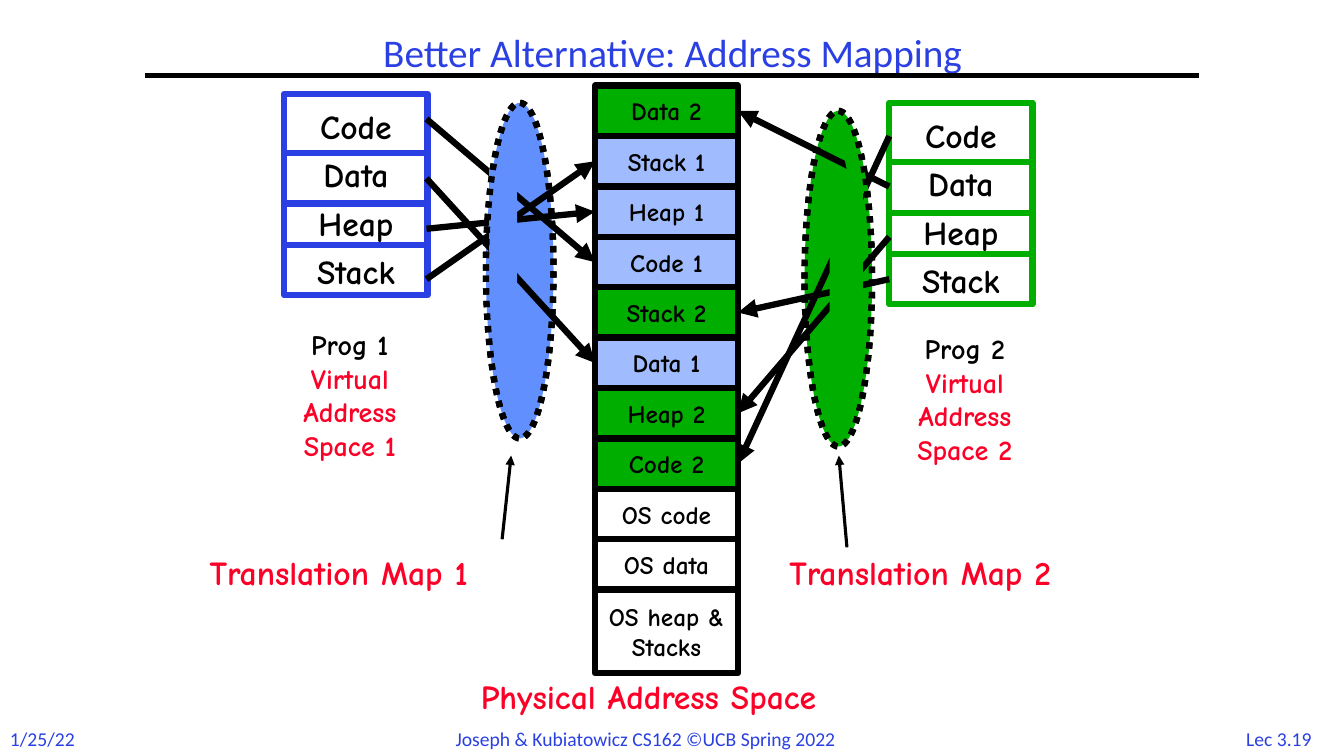
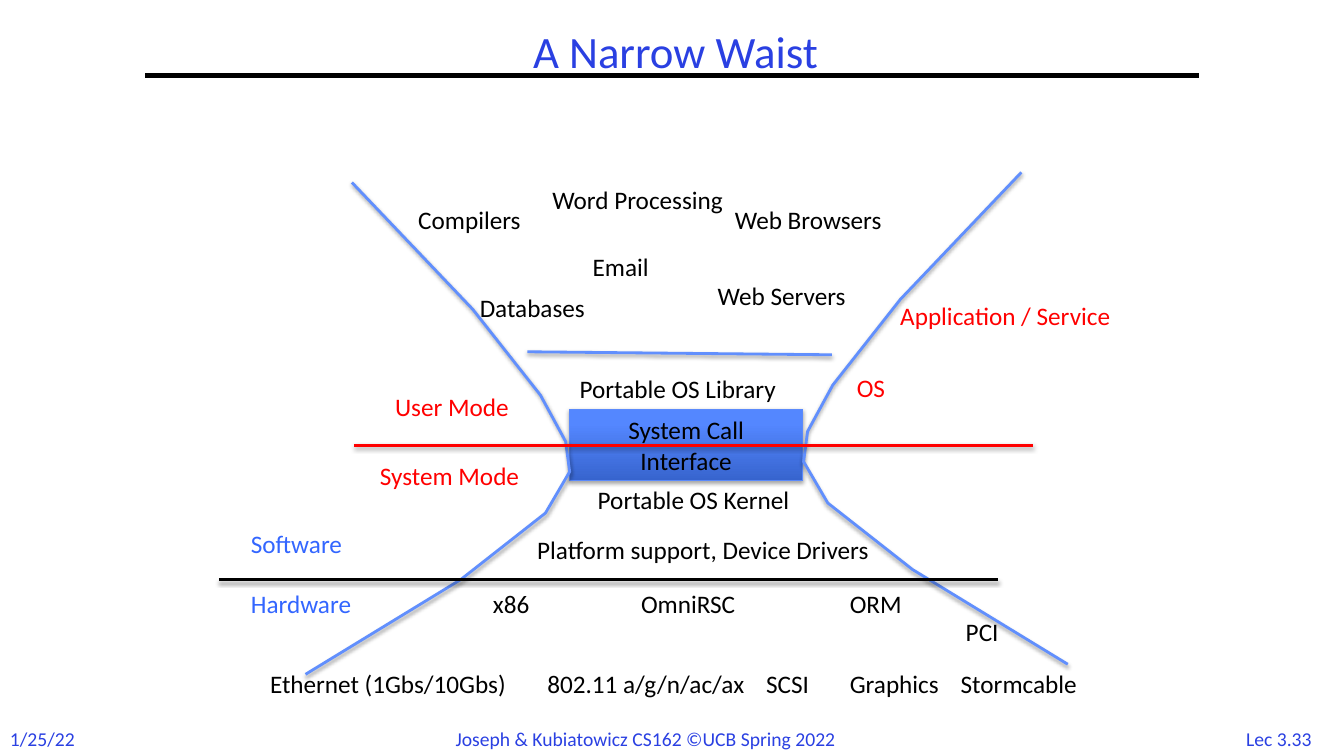
from lxml.etree import SubElement
from pptx import Presentation
from pptx.dml.color import RGBColor
from pptx.enum.dml import MSO_LINE
from pptx.enum.shapes import MSO_CONNECTOR, MSO_SHAPE
from pptx.enum.text import MSO_ANCHOR, MSO_AUTO_SIZE, PP_ALIGN
from pptx.oxml.ns import qn
from pptx.util import Inches, Pt

# Page grid: columns and rows of one inch
COLUMNS, ROWS = 13.33, 7.5
SLIDE_W, SLIDE_H = Inches(COLUMNS), Inches(ROWS)

BLACK = RGBColor(0x00, 0x00, 0x00)
WHITE = RGBColor(0xFF, 0xFF, 0xFF)
ROYAL = RGBColor(0x2A, 0x40, 0xE2)
SKY = RGBColor(0x61, 0x8F, 0xFD)
PALE = RGBColor(0xA0, 0xBC, 0xFE)
GREEN = RGBColor(0x00, 0xAE, 0x00)
CRIMSON = RGBColor(0xFC, 0x01, 0x28)
RED = RGBColor(0xFF, 0x00, 0x00)
AZURE = RGBColor(0x33, 0x66, 0xFF)
WAIST_DARK = RGBColor(0x37, 0x64, 0xCE)
WAIST_LIGHT = RGBColor(0x54, 0x87, 0xFF)
WAIST_EDGE = RGBColor(0x5B, 0x8A, 0xFB)

SANS, COMIC = "Calibri", "Comic Neue"
HEAVY = 4.5  # line width of the address mapping diagram
CELL_W, CELL_H = 1.42, 0.5


def col(columns):
    return round(SLIDE_W * columns / COLUMNS)


def row(rows):
    return round(SLIDE_H * rows / ROWS)


def area(left, top, width, height):
    return col(left), row(top), col(width), row(height)


def set_effects(drawn, alpha=0):
    """Replace the theme shadow by a soft one, or by none."""
    effects = SubElement(drawn._element.spPr, qn("a:effectLst"))
    if alpha:
        shadow = SubElement(effects, qn("a:outerShdw"), blurRad=str(Pt(3.1)),
                            dist=str(Pt(1.6)), dir="5400000", rotWithShape="0")
        black = SubElement(shadow, qn("a:srgbClr"), val="000000")
        SubElement(black, qn("a:alpha"), val=str(alpha * 1000))


def write(frame, lines, font, size, color, bold=None, align=PP_ALIGN.LEFT, spacing=None):
    frame.text = "\n".join(lines)
    for paragraph in frame.paragraphs:
        paragraph.alignment = align
        paragraph.line_spacing = spacing
        paragraph.font.name = font
        paragraph.font.size = Pt(size)
        paragraph.font.color.rgb = color
        paragraph.font.bold = bold


def add_text(slide, lines, place, font, size, color, bold=None, align=PP_ALIGN.LEFT):
    frame = slide.shapes.add_textbox(*area(*place)).text_frame
    frame.word_wrap = False
    frame.auto_size = MSO_AUTO_SIZE.SHAPE_TO_FIT_TEXT
    write(frame, lines, font, size, color, bold, align)
    return frame


def add_block(slide, kind, place, fill=None, edge=None, width=HEAVY):
    block = slide.shapes.add_shape(kind, *area(*place))
    if fill is None:
        block.fill.background()
    else:
        block.fill.solid()
        block.fill.fore_color.rgb = fill
    if edge is None:
        block.line.fill.background()
    else:
        block.line.color.rgb = edge
        block.line.width = Pt(width)
    block.shadow.inherit = False
    return block


def fill_block(block, lines, font, size, bold=None, spacing=None):
    block.text_frame.word_wrap = False
    block.text_frame.vertical_anchor = MSO_ANCHOR.MIDDLE
    write(block.text_frame, lines, font, size, BLACK, bold, PP_ALIGN.CENTER, spacing)


def add_line(slide, start, end, color, width, arrow=False, shadow=0):
    line = slide.shapes.add_connector(MSO_CONNECTOR.STRAIGHT, col(start[0]), row(start[1]),
                                      col(end[0]), row(end[1]))
    line.line.color.rgb = color
    line.line.width = Pt(width)
    if arrow:
        SubElement(line.line._get_or_add_ln(), qn("a:tailEnd"), type="triangle")
    set_effects(line, shadow)
    return line


def add_page(deck, title, place, size, number):
    """Title, rule and footers that every slide carries."""
    slide = deck.slides.add_slide(deck.slide_layouts[5])
    heading = slide.shapes.title
    heading.left, heading.top, heading.width, heading.height = area(*place)
    heading.text_frame.auto_size = MSO_AUTO_SIZE.NONE
    heading.text_frame.vertical_anchor = MSO_ANCHOR.MIDDLE
    write(heading.text_frame, [title], SANS, size, ROYAL, align=PP_ALIGN.CENTER, spacing=0.9)
    add_line(slide, (1.44, 0.75), (11.89, 0.75), BLACK, 3)
    for words, left, width, align in (
            ("1/25/22", 0, 0.85, PP_ALIGN.LEFT),
            ("Joseph & Kubiatowicz CS162 ©UCB Spring 2022", 4.42, 4.5, PP_ALIGN.LEFT),
            (f"Lec {number}", 12.2, 0.97, PP_ALIGN.CENTER)):
        add_text(slide, [words], (left, 7.16, width, 0.34), SANS, 14, ROYAL, align=align)
    return slide


# Address mapping

def add_map(slide, place, fill=None):
    oval = add_block(slide, MSO_SHAPE.OVAL, place, fill, BLACK)
    oval.line.dash_style = MSO_LINE.ROUND_DOT


def add_program(slide, left, top, color):
    segments = add_block(slide, MSO_SHAPE.RECTANGLE, (left, top, CELL_W, 2), WHITE, color)
    fill_block(segments, ["Code", "Data", "Heap", "Stack"], COMIC, 24, True, 1.2)
    for drop in (0.59, 1.09, 1.5):
        add_line(slide, (left, top + drop), (left + CELL_W, top + drop), color, HEAVY)


def add_memory(slide, left, top):
    """Stack the cells of physical memory and return them by label."""
    fills = {"1": PALE, "2": GREEN}
    cells = {}
    for label in ("Data 2", "Stack 1", "Heap 1", "Code 1", "Stack 2", "Data 1",
                  "Heap 2", "Code 2", "OS code", "OS data", "OS heap &\nStacks"):
        lines = label.split("\n")
        height = CELL_H if len(lines) == 1 else 0.83
        cell = add_block(slide, MSO_SHAPE.RECTANGLE, (left, top, CELL_W, height),
                         fills.get(label[-1], WHITE), BLACK)
        fill_block(cell, lines, COMIC, 18, True)
        cells[label] = cell
        top += height
    return cells


def build_mapping(deck):
    slide = add_page(deck, "Better Alternative: Address Mapping", (1.67, 0.25, 10, 0.58),
                     28, "3.19")
    maps = (((7.98, 1.1, 0.67, 3.33), GREEN), ((4.82, 1.02, 0.67, 3.33), SKY))
    for place, fill in maps:
        add_map(slide, place, fill)

    # Virtual address spaces
    for number, left, top in ((1, 2.81, 3.2), (2, 8.91, 3.24)):
        caption = add_text(slide, [f"Prog {number}", "Virtual", "Address", f"Space {number}"],
                           (left, top, 1.32, 1.45), COMIC, 20, CRIMSON, True, PP_ALIGN.CENTER)
        caption.paragraphs[0].font.color.rgb = BLACK
    add_program(slide, 2.82, 0.93, ROYAL)
    add_program(slide, 8.82, 1.02, GREEN)

    # Arrows from each segment to the side (1 left, 3 right) of its cell
    cells = add_memory(slide, 5.9, 0.85)
    for number, start, side, heights in ((1, 4.23, 1, (1.18, 1.77, 2.27, 2.77)),
                                         (2, 8.82, 3, (1.35, 1.85, 2.35, 2.77))):
        for segment, height in zip(("Code", "Data", "Heap", "Stack"), heights):
            arrow = add_line(slide, (start, height), (start, height), BLACK, HEAVY, arrow=True)
            arrow.end_connect(cells[f"{segment} {number}"], side)

    # Covers that hide the arrows inside the maps
    for place, fill, turn in (((4.85, 1.67, 0.28, 1.5), SKY, 0),
                              ((8.23, 1.85, 0.33, 1.58), GREEN, 0),
                              ((8.4, 1.43, 0.17, 0.5), GREEN, 348.5)):
        add_block(slide, MSO_SHAPE.RECTANGLE, place, fill).rotation = turn
    for place, _ in maps:
        add_map(slide, place)

    # Captions
    for words, left, top, width in (("Translation Map 1", 1.98, 5.43, 3.15),
                                    ("Translation Map 2", 7.73, 5.43, 3.15),
                                    ("Physical Address Space", 4.67, 6.66, 4.08)):
        add_text(slide, [words], (left, top, width, 0.5), COMIC, 24, CRIMSON, True)
    add_line(slide, (4.98, 5.35), (5.07, 4.52), BLACK, 2.25, arrow=True)
    add_line(slide, (8.4, 5.43), (8.32, 4.52), BLACK, 2.25, arrow=True)


# Narrow waist

def add_outline(slide, points):
    corners = [(col(x), row(y)) for x, y in points]
    builder = slide.shapes.build_freeform(*corners[0], scale=1.0)
    builder.add_line_segments(corners[1:], close=False)
    outline = builder.convert_to_shape()
    outline.fill.background()
    outline.line.color.rgb = SKY
    outline.line.width = Pt(2)
    set_effects(outline, 38)


def build_waist(deck):
    slide = add_page(deck, "A Narrow Waist", (2.39, 0.08, 8.62, 0.92), 32, "3.33")

    # System call interface
    waist = slide.shapes.add_shape(MSO_SHAPE.RECTANGLE, *area(5.65, 4.06, 2.31, 0.71))
    waist.fill.gradient()
    waist.fill.gradient_angle = 90
    for stop, color, position in zip(waist.fill.gradient_stops,
                                     (WAIST_DARK, WAIST_LIGHT), (0, 0.8)):
        stop.color.rgb = color
        stop.position = position
    waist.line.color.rgb = WAIST_EDGE
    waist.line.width = Pt(0.75)
    set_effects(waist, 35)
    fill_block(waist, ["System Call", "Interface"], SANS, 18)

    # Hourglass: the right side mirrors the left, slightly higher
    left_side = ((3.49, 1.81), (4.69, 3.07), (5.36, 3.92), (5.61, 4.38),
                 (5.65, 4.68), (5.41, 5.09), (4.57, 5.75), (3.03, 6.69))
    add_outline(slide, left_side)
    add_outline(slide, [(13.62 - x, y - 0.1) for x, y in left_side])

    # Borders between the layers
    for start, end, color in (((5.23, 3.49), (8.25, 3.52), SKY),
                              ((2.17, 5.75), (9.9, 5.75), BLACK),
                              ((3.51, 4.42), (10.25, 4.42), RED)):
        add_line(slide, start, end, color, 2, shadow=38)

    # Labels: words, left, top, width
    labels = {
        BLACK: (
            ("Compilers", 4.05, 1.98, 1.34), ("Word Processing", 5.38, 1.78, 2.12),
            ("Web Browsers", 7.19, 1.98, 1.84), ("Email", 5.78, 2.44, 0.83),
            ("Databases", 4.66, 2.85, 1.41), ("Web Servers", 7.02, 2.73, 1.66),
            ("Portable OS Library", 5.65, 3.65, 2.42),
            ("Portable OS Kernel", 5.83, 4.76, 2.38),
            ("Platform support, Device Drivers", 5.23, 5.25, 3.9),
            ("x86", 4.79, 5.79, 0.61), ("OmniRSC", 6.26, 5.79, 1.27),
            ("ORM", 8.33, 5.79, 0.76), ("PCI", 9.48, 6.07, 0.62),
            ("Ethernet (1Gbs/10Gbs)", 2.58, 6.58, 2.81),
            ("802.11 a/g/n/ac/ax", 5.33, 6.58, 2.26), ("SCSI", 7.5, 6.58, 0.79),
            ("Graphics", 8.33, 6.58, 1.21), ("Stormcable", 9.43, 6.58, 1.55)),
        AZURE: (("Software", 2.39, 5.19, 1.2), ("Hardware", 2.39, 5.79, 1.3)),
        RED: (("User Mode", 3.82, 3.83, 1.44), ("System Mode", 3.67, 4.52, 1.74),
              ("OS", 8.4, 3.64, 0.57), ("Application / Service", 8.83, 2.93, 2.49)),
    }
    for color, entries in labels.items():
        for words, left, top, width in entries:
            add_text(slide, [words], (left, top, width, 0.4), SANS, 18, color)


def main():
    deck = Presentation()
    deck.slide_width, deck.slide_height = SLIDE_W, SLIDE_H
    build_mapping(deck)
    build_waist(deck)
    deck.save("out.pptx")


if __name__ == "__main__":
    main()
